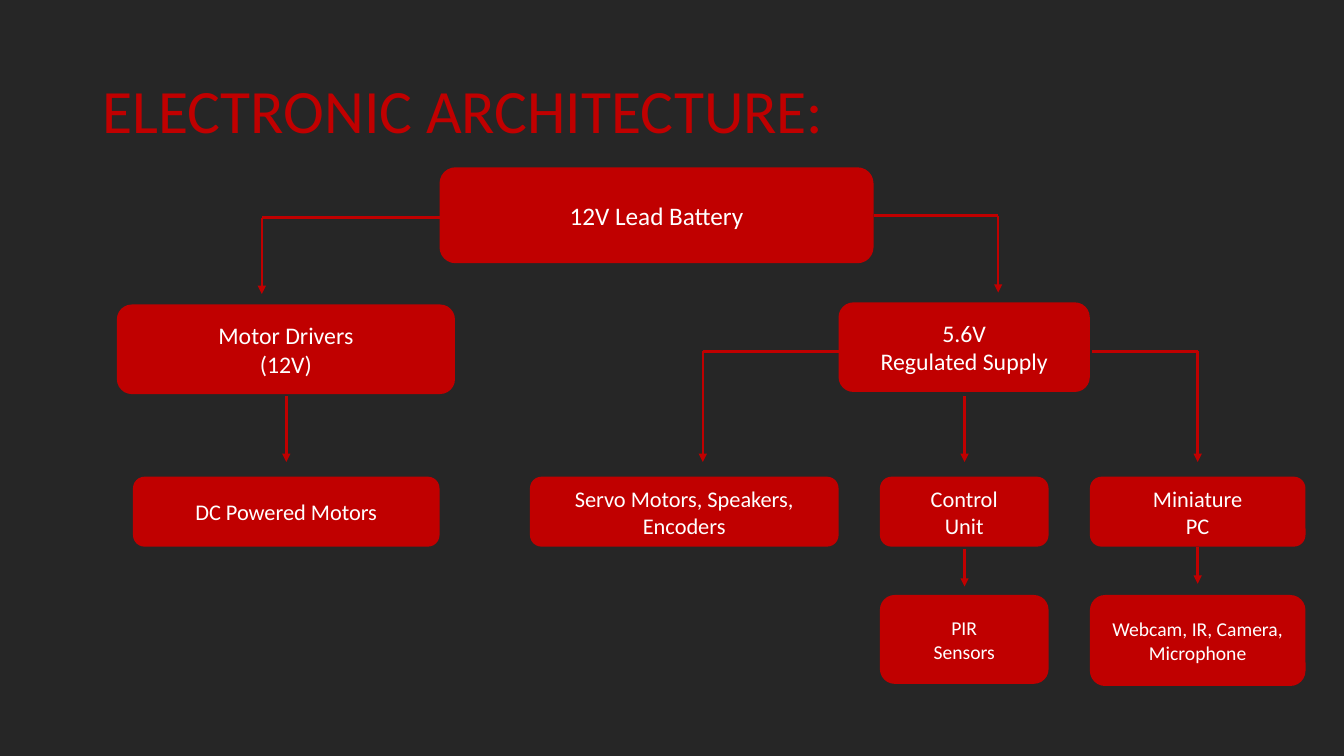
from lxml.etree import SubElement
from pptx import Presentation
from pptx.dml.color import RGBColor
from pptx.enum.shapes import MSO_CONNECTOR, MSO_SHAPE
from pptx.enum.text import MSO_ANCHOR, PP_ALIGN
from pptx.oxml.ns import qn
from pptx.util import Pt

RED = RGBColor(0xC0, 0x00, 0x00)
WHITE = RGBColor(0xFF, 0xFF, 0xFF)
CHARCOAL = RGBColor(0x26, 0x26, 0x26)


class Diagram:
    """Draws titles, boxes and arrows in one style on one slide."""

    font_name = "Calibri"
    line_width = 1.75

    def __init__(self, slide):
        self.slide = slide
        slide.background.fill.solid()
        slide.background.fill.fore_color.rgb = CHARCOAL

    def set_label(self, shape, text, size, color, alignment):
        frame = shape.text_frame
        frame.word_wrap = True
        frame.vertical_anchor = MSO_ANCHOR.MIDDLE
        frame.text = text
        for para in frame.paragraphs:
            para.alignment = alignment
            for span in para.runs:
                span.font.name = self.font_name
                span.font.size = Pt(size)
                span.font.color.rgb = color

    def title(self, text, left, top, width, height):
        box = self.slide.shapes.add_textbox(Pt(left), Pt(top), Pt(width), Pt(height))
        self.set_label(box, text, 44, RED, PP_ALIGN.LEFT)
        box.text_frame.paragraphs[0].line_spacing = 0.9

    def box(self, text, size, left, top, width, height):
        box = self.slide.shapes.add_shape(
            MSO_SHAPE.ROUNDED_RECTANGLE, Pt(left), Pt(top), Pt(width), Pt(height))
        box.shadow.inherit = False
        box.fill.solid()
        box.fill.fore_color.rgb = RED
        box.line.fill.background()
        self.set_label(box, text, size, WHITE, PP_ALIGN.CENTER)

    def line(self, start_x, start_y, end_x, end_y, arrow=False):
        connector = self.slide.shapes.add_connector(
            MSO_CONNECTOR.STRAIGHT, Pt(start_x), Pt(start_y), Pt(end_x), Pt(end_y))
        connector.line.color.rgb = RED
        connector.line.width = Pt(self.line_width)
        properties = connector._element.spPr
        if arrow:
            SubElement(properties.find(qn("a:ln")), qn("a:tailEnd"), type="triangle")
        SubElement(properties, qn("a:effectLst"))

    def arrow_down(self, x, top, bottom):
        self.line(x, top, x, bottom, arrow=True)

    def branch(self, start_x, x, top, bottom):
        self.line(start_x, top, x, top)
        self.arrow_down(x, top, bottom)


def main():
    deck = Presentation()
    deck.slide_width, deck.slide_height = Pt(960), Pt(540)
    diagram = Diagram(deck.slides.add_slide(deck.slide_layouts[6]))

    diagram.title("ELECTRONIC ARCHITECTURE:", 66, 29, 828, 104)

    diagram.box("12V Lead Battery", 18, 314, 119.5, 310, 68.5)
    diagram.box("Motor Drivers\n(12V)", 17, 83.5, 217.5, 241.5, 64)
    diagram.box("5.6V\nRegulated Supply", 17, 599, 216, 179.5, 64)

    device_top, device_height = 340.5, 50
    devices = [
        ("DC Powered Motors", 95, 219),
        ("Servo Motors, Speakers, Encoders", 378.5, 220.5),
        ("Control\nUnit", 628.5, 120.5),
        ("Miniature\nPC", 778.5, 154),
    ]
    for text, left, width in devices:
        diagram.box(text, 16, left, device_top, width, device_height)

    diagram.box("PIR\nSensors", 14, 628.5, 425, 120.5, 63.5)
    diagram.box("Webcam, IR, Camera, Microphone", 14, 778.5, 425, 154, 65)

    motors_x, controller_x, computer_x = 204.5, 689, 855.5
    device_arrow_end = 330
    diagram.branch(314, 187, 155.5, 210)
    diagram.branch(624, 713, 154, 209)
    diagram.branch(599, 502, 251, device_arrow_end)
    diagram.branch(780, computer_x, 251, device_arrow_end)
    for x in (motors_x, controller_x):
        diagram.arrow_down(x, 283, device_arrow_end)
    diagram.arrow_down(controller_x, 392.5, 419)
    diagram.arrow_down(computer_x, 391, 417)

    deck.save("out.pptx")


if __name__ == "__main__":
    main()
